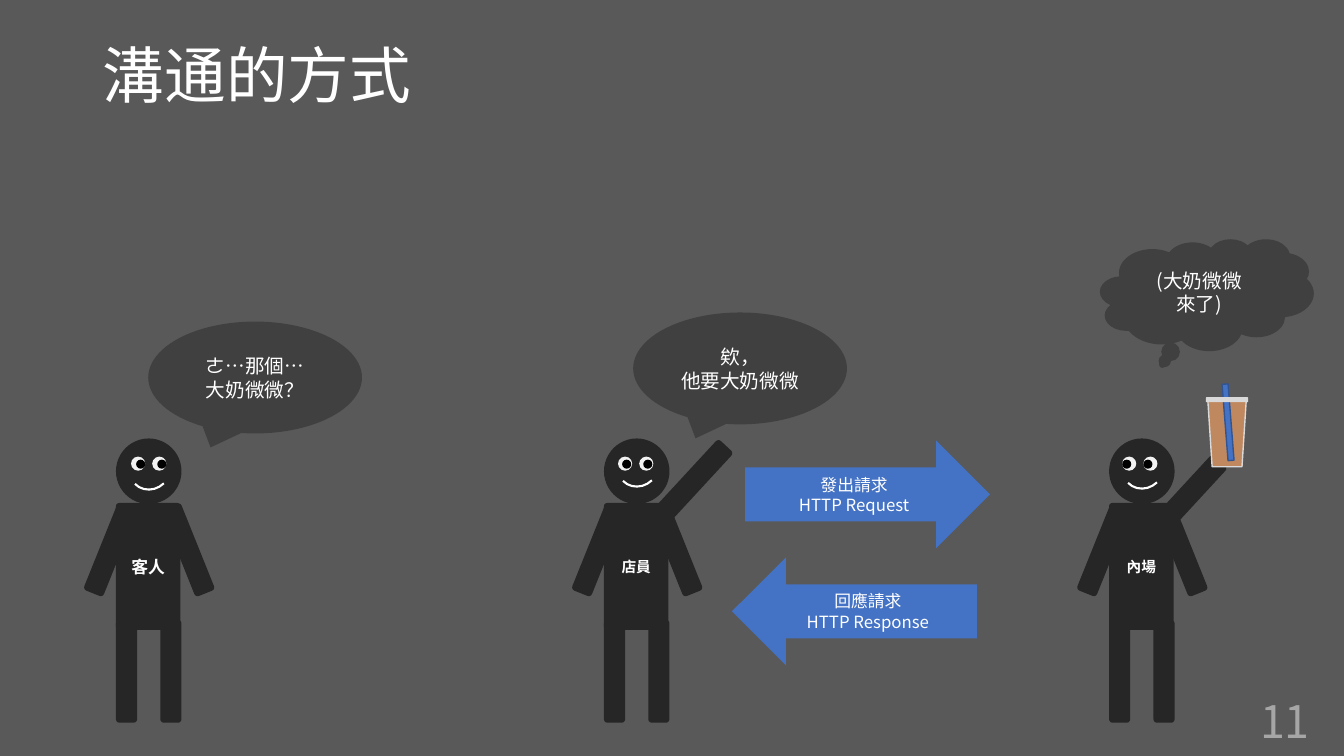
import pptx
import pptx.util
import pptx.dml.color
import pptx.enum.shapes
import pptx.enum.text
import pptx.oxml.ns
import lxml.etree

# Content
TITLE = "溝通的方式"
PAGE = "11"
FONT = "Noto Sans CJK SC"
COLORS = {
    "bg": "595959", "body": "262626", "bubble": "404040", "text": "FFFFFF",
    "eye": "F2F2F2", "pupil": "000000", "arrow": "4472C4", "straw_edge": "325491",
    "tea": "C0885E", "lid": "D9D9D9", "page": "A6A6A6",
}
# Left edge, first eye, pupil shift, smile top; raised hand is (dx, top) or None
PEOPLE = [
    {"name": "客人", "size": 12, "x": 1.15, "eye": 0.15, "look": 0.05, "smile": 4.46, "hand": None},
    {"name": "店員", "size": 10.5, "x": 5.99, "eye": 0.14, "look": 0.04, "smile": 4.43, "hand": (0.79, 4.3)},
    {"name": "內場", "size": 10.5, "x": 11, "eye": 0.13, "look": 0, "smile": 4.45, "hand": (0.68, 4.45)},
]
# Shape, left, top, lines
BUBBLES = [
    ("OVAL_CALLOUT", 1.47, 3.19, ["ㄜ…那個…", "大奶微微？"]),
    ("OVAL_CALLOUT", 6.28, 3.1, ["欸，", "他要大奶微微"]),
    ("CLOUD_CALLOUT", 10.91, 2.37, ["(大奶微微", "來了)"]),
]
ARROWS = [
    ("RIGHT_ARROW", 7.39, 4.37, ["發出請求", "HTTP Request"]),
    ("LEFT_ARROW", 7.26, 5.53, ["回應請求", "HTTP Response"]),
]

# Measures in inches
BUBBLE_SIZE = (2.12, 1.11)
ARROW_SIZE = (2.43, 1.07)
ARM = (0.21, 0.93)
ARM_TILT = 21.9
HEAD_TOP, SHOULDER, HIP = 4.35, 4.99, 6.15
EYE, PUPIL, EYE_GAP = 0.14, 0.09, 0.21

Inches, Pt = pptx.util.Inches, pptx.util.Pt
KIND = pptx.enum.shapes.MSO_SHAPE
ALIGN = pptx.enum.text.PP_ALIGN
ANCHOR = pptx.enum.text.MSO_ANCHOR


def rgb(key):
    return pptx.dml.color.RGBColor.from_string(COLORS[key])


def write(tf, lines, size, color="text", align=ALIGN.CENTER, bold=False, anchor=ANCHOR.MIDDLE):
    tf.word_wrap = True
    tf.vertical_anchor = anchor
    tf.text = "\n".join(lines)
    for p in tf.paragraphs:
        p.alignment = align
        p.font.name, p.font.size, p.font.bold = FONT, Pt(size), bold
        p.font.color.rgb = rgb(color)
        # East Asian typeface
        props = p._p.pPr.find(pptx.oxml.ns.qn("a:defRPr"))
        lxml.etree.SubElement(props, pptx.oxml.ns.qn("a:ea")).set("typeface", FONT)


def add(shapes, kind, box, fill=None, rot=0, line=None, width=1, adj=None):
    sp = shapes.add_shape(KIND[kind], *map(Inches, box))
    sp.shadow.inherit = False
    sp.rotation = rot
    if fill:
        sp.fill.solid()
        sp.fill.fore_color.rgb = rgb(fill)
    else:
        sp.fill.background()
    if line:
        sp.line.color.rgb = rgb(line)
        sp.line.width = Pt(width)
    else:
        sp.line.fill.background()
    if adj is not None:
        sp.adjustments[0] = adj
    return sp


def draw_person(shapes, person):
    x = person["x"]
    # Limbs, head and body
    for dx in (0, 0.44):
        add(shapes, "ROUNDED_RECTANGLE", (x + dx, HIP, 0.21, 1.02), "body")
    add(shapes, "OVAL", (x, HEAD_TOP, 0.65, 0.65), "body")
    limbs = [(-0.16, SHOULDER, ARM_TILT), (0.61, SHOULDER, -ARM_TILT)]
    if person["hand"]:
        limbs.append((*person["hand"], 42.7))
    for dx, top, rot in limbs:
        add(shapes, "ROUNDED_RECTANGLE", (x + dx, top, *ARM), "body", rot)
    body = add(shapes, "ROUNDED_RECTANGLE", (x, SHOULDER, 0.64, 1.26), "body", adj=0.05)
    write(body.text_frame, [person["name"]], person["size"], bold=True)
    # Face
    for i in range(2):
        eye_x = x + person["eye"] + i * EYE_GAP
        add(shapes, "OVAL", (eye_x, HEAD_TOP + 0.18, EYE, EYE), "eye")
        add(shapes, "OVAL", (eye_x + person["look"], HEAD_TOP + 0.21, PUPIL, PUPIL), "pupil")
    add(shapes, "ARC", (x + 0.13, person["smile"], 0.42, 0.39), rot=136, line="text", width=1.5)


def draw_cup(shapes):
    add(shapes, "TRAPEZOID", (11.98, 3.98, 0.38, 0.65), "tea", 180, "lid", adj=0.11)
    add(shapes, "RECTANGLE", (12.15, 3.81, 0.06, 0.76), "arrow", 355.5, "straw_edge")
    add(shapes, "ROUNDED_RECTANGLE", (11.96, 3.94, 0.42, 0.05), "lid")


def main():
    prs = pptx.Presentation()
    prs.slide_width, prs.slide_height = Inches(13.33), Inches(7.5)
    s = prs.slides.add_slide(prs.slide_layouts[5])
    s.background.fill.solid()
    s.background.fill.fore_color.rgb = rgb("bg")

    # Title
    title = s.shapes.title
    title.left, title.top, title.width, title.height = map(Inches, (0.92, 0.4, 11.5, 1.45))
    write(title.text_frame, [TITLE], 44, align=ALIGN.LEFT, anchor=ANCHOR.TOP)
    title.text_frame.paragraphs[0].line_spacing = 0.9

    # People and the drink
    for person in PEOPLE:
        draw_person(s.shapes.add_group_shape().shapes, person)
    draw_cup(s.shapes.add_group_shape().shapes)

    # Speech and messages
    for items, size, fill, points in ((BUBBLES, BUBBLE_SIZE, "bubble", 14),
                                      (ARROWS, ARROW_SIZE, "arrow", 12)):
        for kind, x, y, lines in items:
            sp = add(s.shapes, kind, (x, y, *size), fill)
            write(sp.text_frame, lines, points)

    # Page number
    page = s.shapes.add_textbox(*map(Inches, (10.09, 6.95, 3, 0.4)))
    write(page.text_frame, [PAGE], 32, "page", ALIGN.RIGHT)

    prs.save("out.pptx")


if __name__ == "__main__":
    main()
